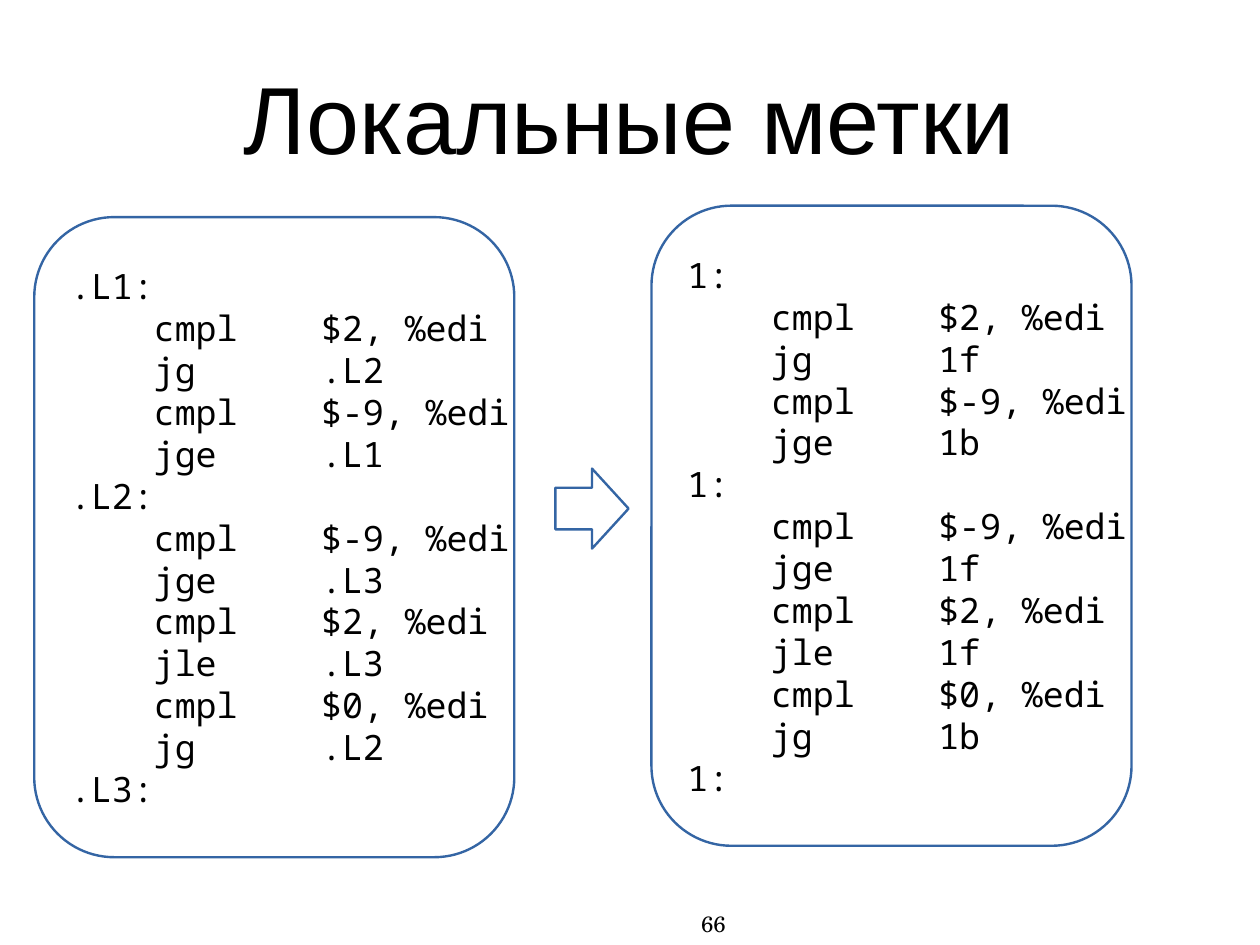
from dataclasses import dataclass

from pptx import Presentation
from pptx.dml.color import RGBColor
from pptx.enum.shapes import MSO_SHAPE
from pptx.enum.text import MSO_ANCHOR, PP_ALIGN
from pptx.util import Cm, Inches, Pt

ROUNDED, RIGHT_ARROW = MSO_SHAPE.ROUNDED_RECTANGLE, MSO_SHAPE.RIGHT_ARROW
TOP, MIDDLE = MSO_ANCHOR.TOP, MSO_ANCHOR.MIDDLE
LEFT, CENTER, RIGHT = PP_ALIGN.LEFT, PP_ALIGN.CENTER, PP_ALIGN.RIGHT

TITLE = "Локальные метки"
PAGE_NUMBER = "66"
NAMED_LABELS = [
    ".L1:",
    "    cmpl    $2, %edi",
    "    jg      .L2",
    "    cmpl    $-9, %edi\n    jge     .L1",
    ".L2:",
    "    cmpl    $-9, %edi",
    "    jge     .L3",
    "    cmpl    $2, %edi",
    "    jle     .L3",
    "    cmpl    $0, %edi",
    "    jg      .L2",
    ".L3:",
]
LOCAL_LABELS = [
    "1:",
    "    cmpl    $2, %edi",
    "    jg      1f",
    "    cmpl    $-9, %edi\n    jge     1b",
    "1:",
    "    cmpl    $-9, %edi",
    "    jge     1f",
    "    cmpl    $2, %edi",
    "    jle     1f",
    "    cmpl    $0, %edi",
    "    jg      1b",
    "1:",
]


@dataclass(frozen=True)
class Theme:
    text: RGBColor = RGBColor(0x00, 0x00, 0x00)
    fill: RGBColor = RGBColor(0xFF, 0xFF, 0xFF)
    outline: RGBColor = RGBColor(0x34, 0x65, 0xA4)
    outline_width: Pt = Pt(1.5)
    title: tuple = ("Arial", Pt(60))
    code: tuple = ("Noto Sans Mono", Pt(22))
    number: tuple = ("TeX Gyre Schola", Pt(14))


THEME = Theme()
PANEL_SIZE = (4.2, 5.6)
PANELS = [((0.3, 1.9), NAMED_LABELS), ((5.7, 1.8), LOCAL_LABELS)]
CORNER_RADIUS = 0.7
ARROW_BOX = (4.86, 4.1, 0.64, 0.7)
TITLE_BOX = (0.55, 0.33, 9.92, 1.38)
NUMBER_BOX = (3.78, 7.96, 2.57, 0.31)


def inches(box):
    return [Inches(value) for value in box]


def write(frame, texts, style, align, anchor, insets=(0, 0), wrap=True):
    """Fill the frame with one paragraph per text; a newline breaks the line."""
    frame.word_wrap = wrap
    frame.vertical_anchor = anchor
    frame.margin_left = frame.margin_right = Inches(insets[0])
    frame.margin_top = frame.margin_bottom = Inches(insets[1])
    for index, text in enumerate(texts):
        paragraph = frame.paragraphs[0] if index == 0 else frame.add_paragraph()
        paragraph.alignment = align
        for row, line in enumerate(text.split("\n")):
            if row:
                paragraph.add_line_break()
            run = paragraph.add_run()
            run.text = line
            run.font.name, run.font.size = style
            run.font.color.rgb = THEME.text


def add_outlined(slide, preset, box, adjustments):
    shape = slide.shapes.add_shape(preset, *inches(box))
    for index, value in enumerate(adjustments):
        shape.adjustments[index] = value
    shape.shadow.inherit = False
    shape.fill.solid()
    shape.fill.fore_color.rgb = THEME.fill
    shape.line.color.rgb = THEME.outline
    shape.line.width = THEME.outline_width
    return shape


def main():
    deck = Presentation()
    deck.slide_width = Cm(28)
    deck.slide_height = Cm(21)
    slide = deck.slides.add_slide(deck.slide_layouts[5])

    title = slide.shapes.title
    title.left, title.top, title.width, title.height = inches(TITLE_BOX)
    write(title.text_frame, [TITLE], THEME.title, CENTER, MIDDLE)

    for corner, code in PANELS:
        panel = add_outlined(slide, ROUNDED, corner + PANEL_SIZE,
                             [CORNER_RADIUS / min(PANEL_SIZE)])
        write(panel.text_frame, code, THEME.code, LEFT, MIDDLE,
              insets=(0.11, 0.06), wrap=False)

    add_outlined(slide, RIGHT_ARROW, ARROW_BOX, [0.52, 0.5])

    number = slide.shapes.add_textbox(*inches(NUMBER_BOX))
    write(number.text_frame, [PAGE_NUMBER], THEME.number, RIGHT, TOP)

    deck.save("out.pptx")


if __name__ == "__main__":
    main()
